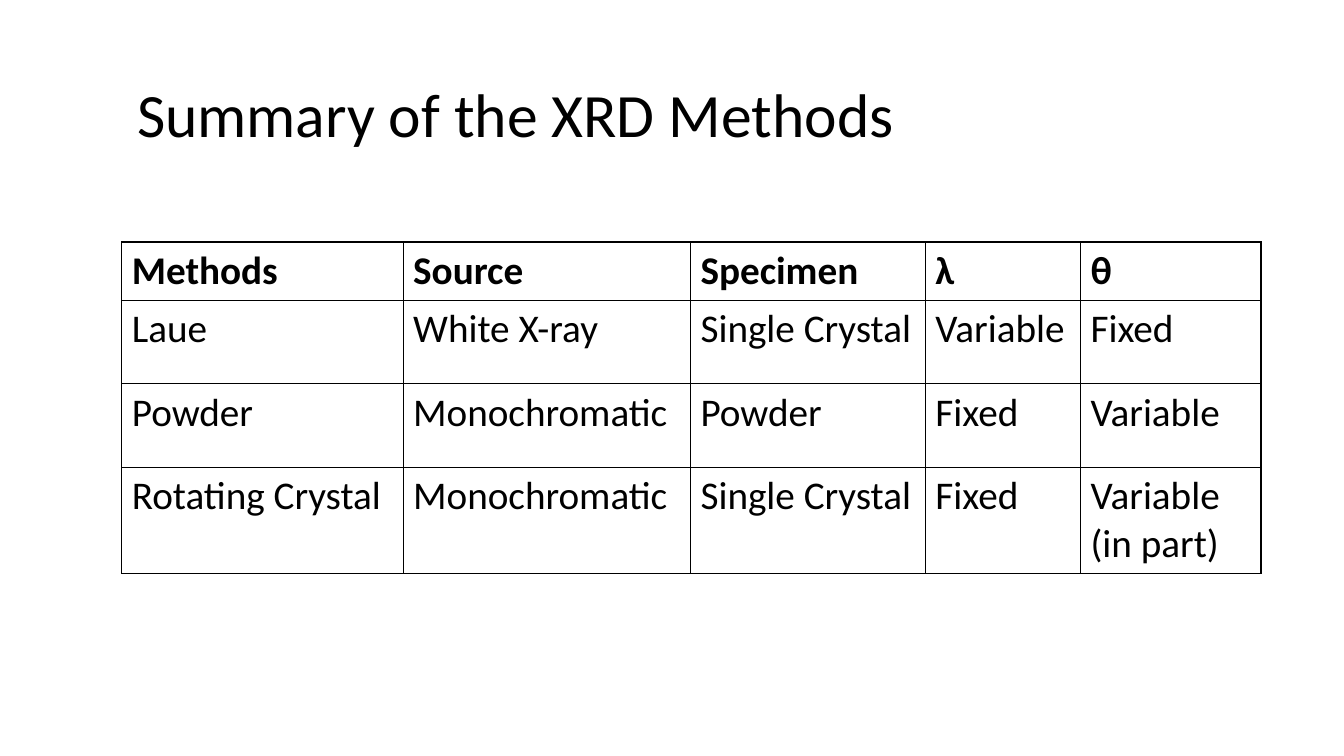
from lxml import etree
from pptx import Presentation
from pptx.dml.color import RGBColor
from pptx.enum.text import MSO_ANCHOR, PP_ALIGN
from pptx.oxml.ns import qn
from pptx.util import Cm, Pt

JUSTIFY = PP_ALIGN.JUSTIFY
MIDDLE = MSO_ANCHOR.MIDDLE
COLORS = {"ink": "000000"}
FONT = "Calibri"


def style(par, size, bold=False):
    for run in par.runs:
        run.font.name = FONT
        run.font.size = Pt(size)
        run.font.bold = bold
        run.font.color.rgb = RGBColor.from_string(COLORS["ink"])


def border(cell):
    props = cell._tc.get_or_add_tcPr()
    for i, side in enumerate(("lnL", "lnR", "lnT", "lnB")):
        line = etree.Element(qn("a:" + side), w=str(Pt(1)))
        fill = etree.SubElement(line, qn("a:solidFill"))
        etree.SubElement(fill, qn("a:srgbClr"), val=COLORS["ink"])
        props.insert(i, line)


prs = Presentation()
prs.slide_width = Cm(33.87)
prs.slide_height = Cm(19.05)
slide = prs.slides.add_slide(prs.slide_layouts[5])

title = slide.shapes.title
title.left, title.top = Cm(1.93), Cm(0.53)
title.width, title.height = Cm(29.21), Cm(3.68)
frame = title.text_frame
frame.text = "Summary of the XRD Methods"
frame.vertical_anchor = MIDDLE
head = frame.paragraphs[0]
head.alignment = JUSTIFY
head.line_spacing = 1.5
indent = head._p.get_or_add_pPr()
indent.set("marL", str(Cm(1.27)))
indent.set("indent", "0")
style(head, 44)

rows = [
    ["Methods", "Source", "Specimen", "λ", "θ"],
    ["Laue", "White X-ray", "Single Crystal", "Variable", "Fixed"],
    ["Powder", "Monochromatic", "Powder", "Fixed", "Variable"],
    ["Rotating Crystal", "Monochromatic", "Single Crystal", "Fixed", "Variable (in part)"],
]
widths = [7.09, 7.24, 5.92, 3.91, 4.55]
heights = [1.22, 2.11, 2.11, 2.11]

table = slide.shapes.add_table(
    len(rows), len(widths), Cm(3.07), Cm(6.1), Cm(sum(widths)), Cm(sum(heights))
).table
table.horz_banding = False
table.first_row = False
for col, width in zip(table.columns, widths):
    col.width = Cm(width)
for r, (row, height) in enumerate(zip(rows, heights)):
    table.rows[r].height = Cm(height)
    for c, text in enumerate(row):
        cell = table.cell(r, c)
        cell.text_frame.text = text
        cell.fill.background()
        border(cell)
        style(cell.text_frame.paragraphs[0], 28, r == 0)

prs.save("out.pptx")
